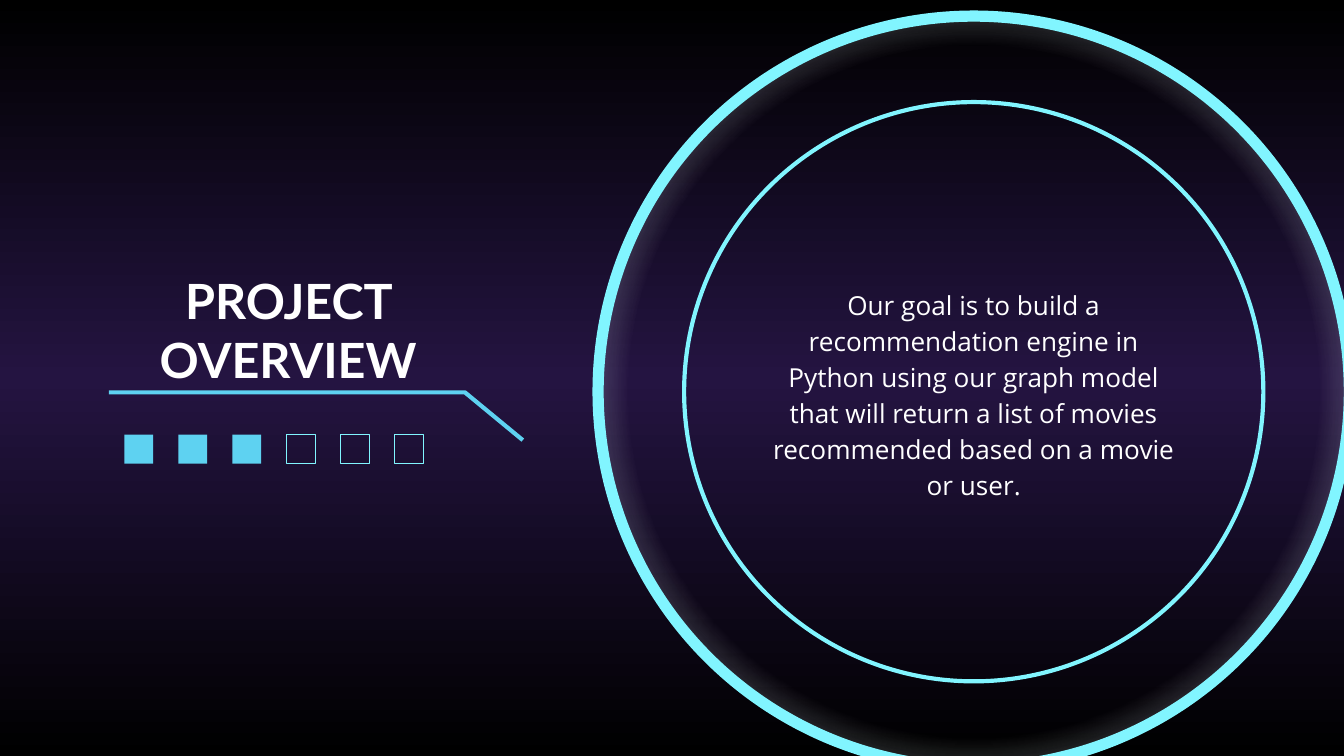
"""Build the project overview slide: title, progress squares and a ringed goal statement."""
from dataclasses import dataclass
from typing import Optional

import lxml.etree
import pptx
import pptx.dml.color
import pptx.enum.shapes
import pptx.enum.text
import pptx.oxml.ns
import pptx.util

COLORS = {
    "black": "000000",
    "purple": "241441",
    "white": "FFFFFF",
    "blue": "5ED2F1",
    "cyan": "81F5FF",
}
CELL = pptx.util.Inches(0.1)
COLUMNS, ROWS = 100, 56.25
SQUARE_COUNT, FILLED_COUNT = 6, 3


@dataclass(frozen=True)
class Box:
    """Position and size in grid columns and rows."""
    left: float
    top: float
    width: float
    height: float

    def lengths(self) -> list[int]:
        """Return the four lengths in EMU."""
        return [cells(value) for value in (self.left, self.top, self.width, self.height)]


@dataclass(frozen=True)
class Outlined:
    """A preset shape with an optional line and solid fill."""
    preset: pptx.enum.shapes.MSO_SHAPE
    box: Box
    line: Optional[str] = None
    weight: float = 0
    fill: Optional[str] = None


@dataclass(frozen=True)
class Label:
    """A centred block of white text."""
    text: str
    box: Box
    font: str
    size: float
    bold: bool
    anchor: pptx.enum.text.MSO_ANCHOR
    spacing: float


@dataclass(frozen=True)
class Stop:
    """A gradient stop, with position and opacity in percent."""
    position: int
    color: str
    opacity: int = 100


def cells(count: float) -> int:
    """Convert grid cells to EMU."""
    return round(count * CELL)


def rgb(name: str) -> pptx.dml.color.RGBColor:
    """Look up a named colour."""
    return pptx.dml.color.RGBColor.from_string(COLORS[name])


def centred(column: float, row: float, diameter: float) -> Box:
    """Return a square box around a centre point."""
    return Box(column - diameter / 2, row - diameter / 2, diameter, diameter)


def set_gradient(owner, fill, stops: list[Stop], direction: str) -> None:
    """Give a fill its gradient stops and direction."""
    fill.gradient()
    gradient = owner.element.xpath(".//a:gradFill")[0]
    for child in list(gradient):
        gradient.remove(child)
    namespace = pptx.oxml.ns.nsdecls("a")
    stop_xml = "".join(
        f'<a:gs pos="{stop.position * 1000}"><a:srgbClr val="{COLORS[stop.color]}">'
        f'<a:alpha val="{stop.opacity * 1000}"/></a:srgbClr></a:gs>'
        for stop in stops
    )
    gradient.append(pptx.oxml.parse_xml(f"<a:gsLst {namespace}>{stop_xml}</a:gsLst>"))
    gradient.append(pptx.oxml.parse_xml(direction.format(namespace=namespace)))


def style(shape, line: Optional[str], weight: float, fill: Optional[str]) -> None:
    """Set the line and fill of a shape and drop its shadow."""
    shape.shadow.inherit = False
    if fill:
        shape.fill.solid()
        shape.fill.fore_color.rgb = rgb(fill)
    else:
        shape.fill.background()
    if line:
        shape.line.color.rgb = rgb(line)
        shape.line.width = pptx.util.Pt(weight)
    else:
        shape.line.fill.background()


def draw_outlined(slide, item: Outlined):
    """Draw a preset shape."""
    shape = slide.shapes.add_shape(item.preset, *item.box.lengths())
    style(shape, item.line, item.weight, item.fill)
    return shape


def draw_polyline(slide, points: list[tuple[float, float]], line: str, weight: float) -> None:
    """Draw an open line through grid points."""
    start, *others = [(cells(column), cells(row)) for column, row in points]
    builder = slide.shapes.build_freeform(*start)
    builder.add_line_segments(others, close=False)
    style(builder.convert_to_shape(), line, weight, None)


def draw_label(slide, label: Label) -> None:
    """Draw a text block."""
    frame = slide.shapes.add_textbox(*label.box.lengths()).text_frame
    frame.word_wrap = True
    frame.vertical_anchor = label.anchor
    frame.margin_left = frame.margin_right = CELL
    frame.margin_top = frame.margin_bottom = CELL
    paragraph = frame.paragraphs[0]
    paragraph.text = label.text
    paragraph.alignment = pptx.enum.text.PP_ALIGN.CENTER
    paragraph.line_spacing = label.spacing
    paragraph.font.name = label.font
    paragraph.font.size = pptx.util.Pt(label.size)
    paragraph.font.bold = label.bold
    paragraph.font.color.rgb = rgb("white")


def main() -> None:
    """Assemble and save the slide."""
    presentation = pptx.Presentation()
    presentation.slide_width = cells(COLUMNS)
    presentation.slide_height = cells(ROWS)
    slide = presentation.slides.add_slide(presentation.slide_layouts[6])
    set_gradient(
        slide, slide.background.fill,
        [Stop(0, "black"), Stop(50, "purple"), Stop(100, "black")],
        '<a:lin {namespace} ang="5400000" scaled="0"/>',
    )

    oval = pptx.enum.shapes.MSO_SHAPE.OVAL
    center = (72.45, 29.15)
    outer_ring = draw_outlined(slide, Outlined(oval, centred(*center, 55.9), "cyan", 6))
    set_gradient(
        outer_ring, outer_ring.fill,
        [Stop(0, "white", 0), Stop(65, "white", 0), Stop(100, "blue")],
        '<a:path {namespace} path="circle">'
        '<a:fillToRect l="50000" t="50000" r="50000" b="50000"/></a:path>',
    )
    draw_outlined(slide, Outlined(oval, centred(*center, 43.1), "cyan", 2.25))

    anchors = pptx.enum.text.MSO_ANCHOR
    draw_label(slide, Label(
        "PROJECT OVERVIEW", Box(4.2, 19.2, 34.5, 6.6), "Lato", 26, True, anchors.TOP, 1))
    draw_label(slide, Label(
        "Our goal is to build a recommendation engine in Python using our graph model "
        "that will return a list of movies recommended based on a movie or user.",
        Box(56, 17.3, 32.9, 23.8), "Open Sans", 14, False, anchors.MIDDLE, 1.15))

    draw_polyline(slide, [(8.1, 29.2), (34.6, 29.2), (38.9, 32.75)], "blue", 2.25)
    for index in range(SQUARE_COUNT):
        box = Box(9.25 + 4.02 * index, 32.35, 2.15, 2.15)
        square = pptx.enum.shapes.MSO_SHAPE.RECTANGLE
        if index < FILLED_COUNT:
            draw_outlined(slide, Outlined(square, box, fill="blue"))
        else:
            draw_outlined(slide, Outlined(square, box, "cyan", 0.75))

    presentation.save("out.pptx")


if __name__ == "__main__":
    main()
